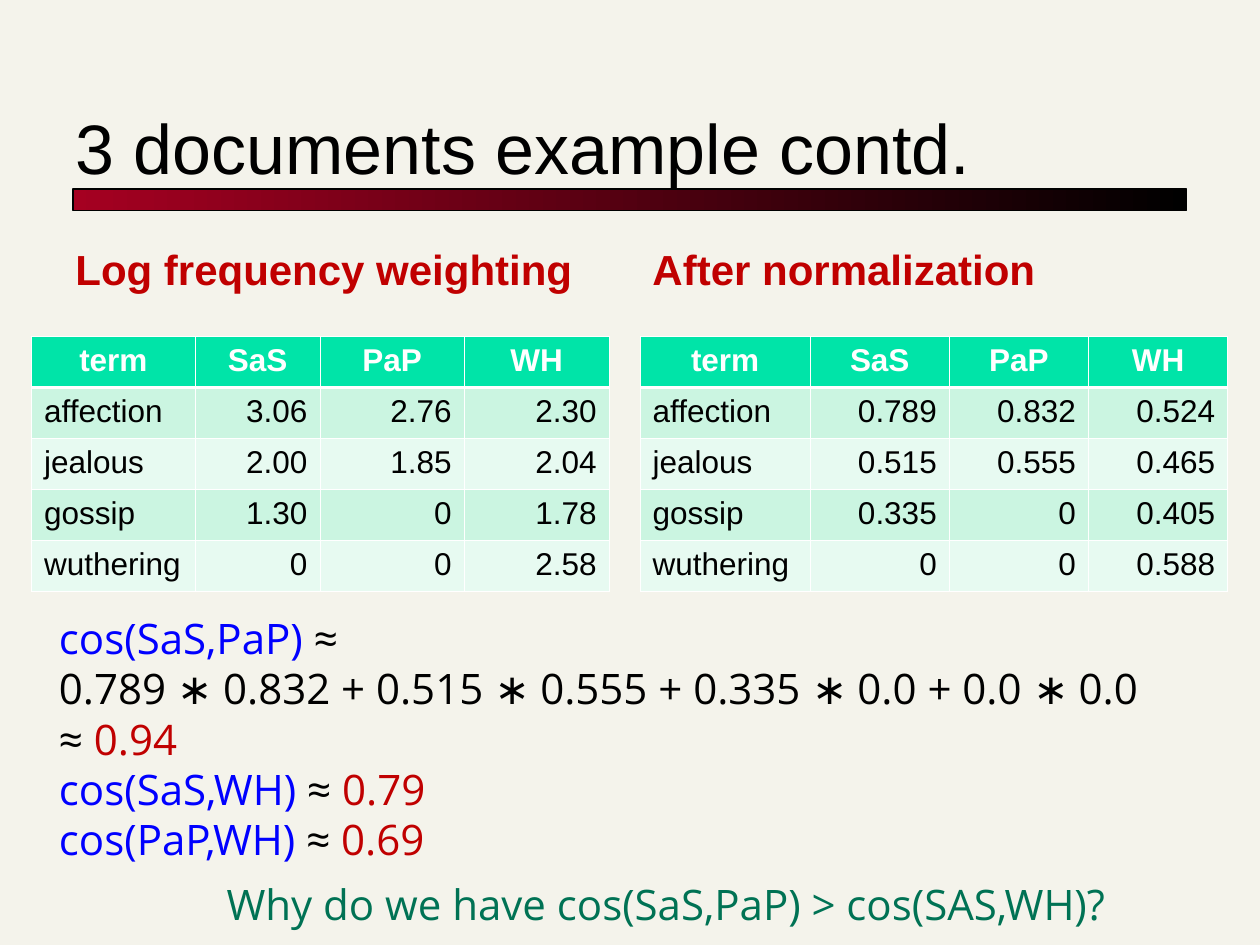
from lxml.etree import SubElement
from pptx import Presentation
from pptx.dml.color import RGBColor
from pptx.enum.shapes import MSO_SHAPE
from pptx.enum.text import MSO_ANCHOR, PP_ALIGN
from pptx.oxml.ns import qn
from pptx.util import Inches, Pt

HEX = {"paper": "F4F3EB", "black": "000000", "white": "FFFFFF", "wine": "A50021",
       "red": "C00000", "blue": "0000FF", "green": "007254",
       "head": "00E4A8", "odd": "CBF5E1", "even": "E7FAF1"}
RGB = {name: RGBColor.from_string(code) for name, code in HEX.items()}

deck = Presentation()
deck.slide_width, deck.slide_height = Inches(10), Inches(7.5)
UNIT = deck.slide_width / 40  # the slide is a grid of 40 columns and 30 rows


def grid(*cells):
    return [round(n * UNIT) for n in cells]


def write(para, runs, size, font="Arial", bold=False):
    """Add (text, colour) runs to a paragraph."""
    for text, tone in runs:
        run = para.add_run()
        run.text = text
        run.font.size, run.font.name, run.font.bold = Pt(size), font, bold
        run.font.color.rgb = RGB[tone]


slide = deck.slides.add_slide(deck.slide_layouts[5])
slide.background.fill.solid()
slide.background.fill.fore_color.rgb = RGB["paper"]

# Title and the bar behind it
title = slide.shapes.title
title.left, title.top, title.width, title.height = grid(2, 1.2, 36, 5)
title.text_frame.vertical_anchor = MSO_ANCHOR.BOTTOM
title.text_frame.paragraphs[0].alignment = PP_ALIGN.LEFT
write(title.text_frame.paragraphs[0], [("3 documents example contd.", "black")], 40)

bar = slide.shapes.add_shape(MSO_SHAPE.RECTANGLE, *grid(2.32, 6, 35.36, 0.68))
bar.shadow.inherit = False
bar.fill.gradient()
bar.fill.gradient_angle = 0
for stop, tone in zip(bar.fill.gradient_stops, ("wine", "black")):
    stop.color.rgb = RGB[tone]
bar.line.color.rgb = RGB["black"]
bar.line.width = Pt(0.75)
title.element.addprevious(bar.element)

# Headings, each over its table
TERMS = ["affection", "jealous", "gossip", "wuthering"]
HEAD = ["term", "SaS", "PaP", "WH"]
PANELS = [
    ("Log frequency weighting", 2, 1, (5.2, 3.96, 4.58, 4.6),
     ["3.06 2.76 2.30", "2.00 1.85 2.04", "1.30 0 1.78", "0 0 2.58"]),
    ("After normalization", 20.32, 20.32, (5.4, 4.42, 4.42, 4.42),
     ["0.789 0.832 0.524", "0.515 0.555 0.465", "0.335 0 0.405", "0 0 0.588"]),
]
for label, left, edge, widths, values in PANELS:
    box = slide.shapes.add_textbox(*grid(left, 6.72, 17.68, 2.8))
    box.text_frame.word_wrap = True
    box.text_frame.vertical_anchor = MSO_ANCHOR.BOTTOM
    write(box.text_frame.paragraphs[0], [(label, "red")], 24, bold=True)

    rows = [HEAD] + [[term, *line.split()] for term, line in zip(TERMS, values)]
    table = slide.shapes.add_table(
        len(rows), len(HEAD), *grid(edge, 10.68, sum(widths), 8.1)).table
    for col, width in zip(table.columns, grid(*widths)):
        col.width = width
    for r, row in enumerate(rows):
        for c, text in enumerate(row):
            cell = table.cell(r, c)
            para = cell.text_frame.paragraphs[0]
            if r == 0:
                para.alignment = PP_ALIGN.CENTER
            else:
                para.alignment = PP_ALIGN.RIGHT if c else PP_ALIGN.LEFT
            write(para, [(text, "black" if r else "white")], 18, bold=r == 0)
            props = cell._tc.get_or_add_tcPr()
            for side in "LRTB":
                thick = (r, side) in ((0, "B"), (1, "T"))
                line = SubElement(props, qn(f"a:ln{side}"), w=str(Pt(1.47 if thick else 0.45)))
                SubElement(SubElement(line, qn("a:solidFill")), qn("a:srgbClr"), val=HEX["white"])
            cell.fill.solid()
            cell.fill.fore_color.rgb = RGB["head" if r == 0 else "odd" if r % 2 else "even"]

# Cosine scores and the closing question
SCORES = [
    [("cos(SaS,PaP) ", "blue"), ("≈", "black")],
    [("0.789 ∗ 0.832 + 0.515 ∗ 0.555 + 0.335 ∗ 0.0 + 0.0 ∗ 0.0", "black")],
    [("≈ ", "black"), ("0.94", "red")],
    [("cos(SaS,WH)", "blue"), (" ≈ ", "black"), ("0.79", "red")],
    [("cos(PaP,WH) ", "blue"), ("≈ ", "black"), ("0.69", "red")],
]
ASK = [[("Why do we have cos(SaS,PaP) > cos(SAS,WH)?", "green")]]
for place, lines in (((1.48, 19.24, 35.08, 8.4), SCORES), ((6.8, 27.68, 29, 2), ASK)):
    frame = slide.shapes.add_textbox(*grid(*place)).text_frame
    frame.word_wrap = False
    for i, runs in enumerate(lines):
        para = frame.add_paragraph() if i else frame.paragraphs[0]
        para.line_spacing = Pt(28.8)
        write(para, runs, 24, "Open Sans")

deck.save("out.pptx")
